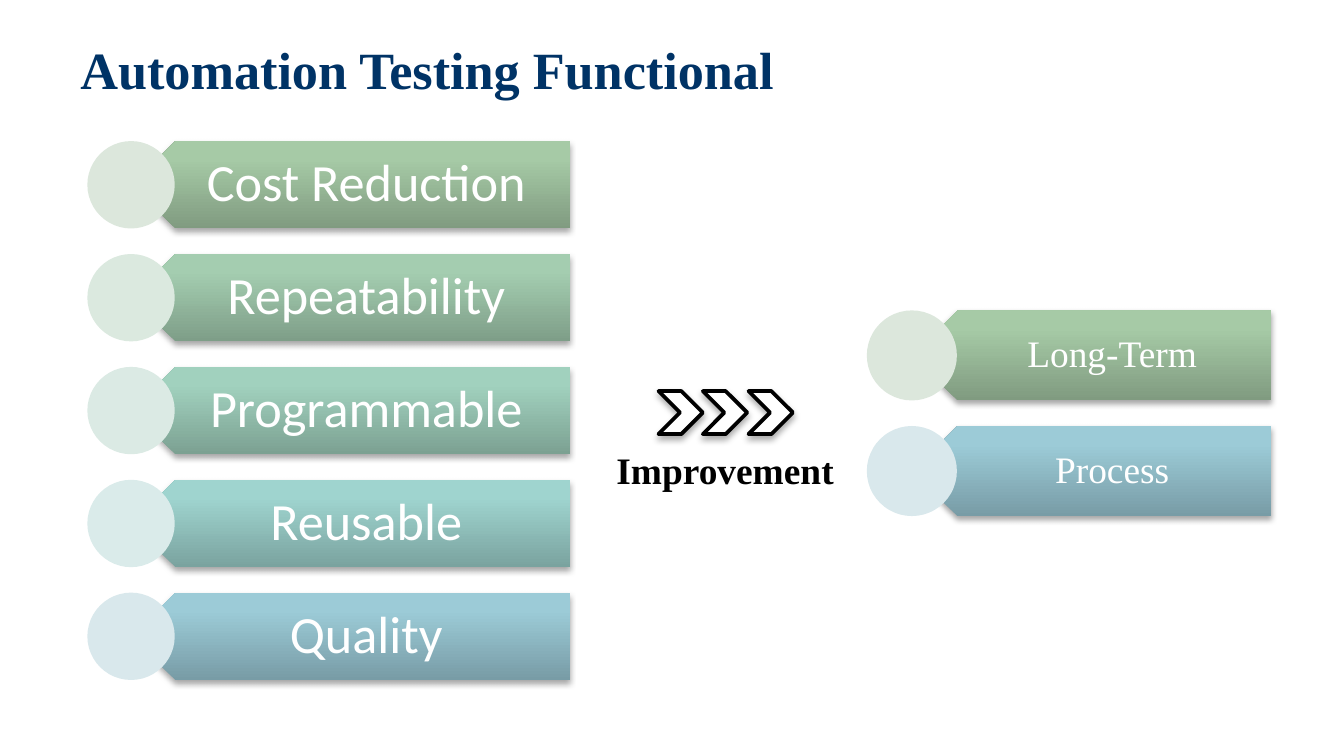
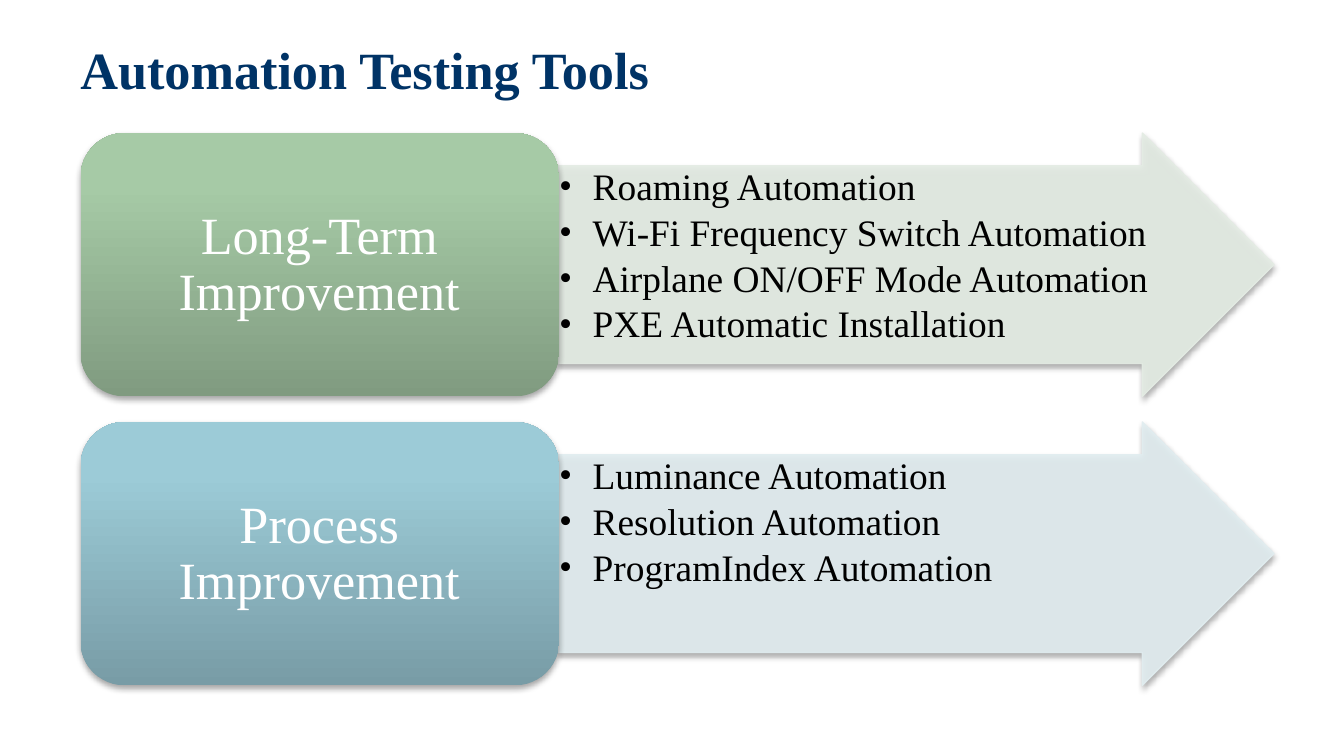
from lxml import etree
from pptx import Presentation
from pptx.dml.color import RGBColor
from pptx.enum.shapes import MSO_SHAPE as SHAPE
from pptx.enum.text import MSO_ANCHOR as ANCHOR, PP_ALIGN as ALIGN
from pptx.oxml import parse_xml
from pptx.oxml.ns import nsdecls, qn
from pptx.util import Pt

PX = 9144
SERIF = "Times New Roman"
COLORS = {
    "title": "003366", "white": "FFFFFF", "black": "000000",
    "green_arrow": "E4ECE4", "blue_arrow": "E1EDF0",
}
TONES = {
    "green": (("809B80", "A6CAA6", "A7CBA7"), "DCE7DC"),
    "mint": (("7E9E88", "A4CDB0", "A4CFB1"), "DBE9DF"),
    "jade": (("7CA192", "A1D1BE", "A1D2BF"), "DBEAE4"),
    "teal": (("7AA39F", "9FD4CF", "9ED6D1"), "DAEBEA"),
    "blue": (("789CA6", "9CCBD7", "9CCCD9"), "D9E8EC"),
}
SOFT_SHADOW = (35, 40000, 23000)
CHEVRON_SHADOW = (32, 44450, 27940)


def paint(slide, kind, box, fill, line=None, width=0.75, shadow=None, opacity=100):
    shape = slide.shapes.add_shape(kind, *(n * PX for n in box))
    props = shape.fill._xPr
    if isinstance(fill, tuple):
        shape.fill.background()
        stops = "".join(
            f'<a:gs pos="{pos}"><a:srgbClr val="{color}"/></a:gs>'
            for pos, color in zip((0, 80000, 100000), fill))
        props.replace(props.find(qn("a:noFill")), parse_xml(
            f'<a:gradFill {nsdecls("a")} rotWithShape="0"><a:gsLst>{stops}</a:gsLst>'
            '<a:lin ang="16200000" scaled="0"/></a:gradFill>'))
    else:
        shape.fill.solid()
        shape.fill.fore_color.rgb = RGBColor.from_string(fill)
    if line:
        shape.line.color.rgb = RGBColor.from_string(line)
        shape.line.width = Pt(width)
    else:
        shape.line.fill.background()
    if opacity < 100:
        for color in props.iter(qn("a:srgbClr")):
            etree.SubElement(color, qn("a:alpha"), val=str(opacity * 1000))
    shape.shadow.inherit = False
    if shadow:
        alpha, blur, distance = shadow
        props.find(qn("a:effectLst")).append(parse_xml(
            f'<a:outerShdw {nsdecls("a")} blurRad="{blur}" dist="{distance}" '
            'dir="5400000" rotWithShape="0"><a:srgbClr val="000000">'
            f'<a:alpha val="{alpha * 1000}"/></a:srgbClr></a:outerShdw>'))
    return shape


def write(slide, box, lines, size, color, font=SERIF, bold=False, align=ALIGN.CENTER,
          anchor=ANCHOR.MIDDLE, insets=(10, 5, 10, 5), spacing=0.9, bullets=False):
    frame = slide.shapes.add_textbox(*(n * PX for n in box)).text_frame
    frame.word_wrap = True
    frame.vertical_anchor = anchor
    (frame.margin_left, frame.margin_top,
     frame.margin_right, frame.margin_bottom) = (n * PX for n in insets)
    for index, line in enumerate(lines):
        paragraph = frame.add_paragraph() if index else frame.paragraphs[0]
        paragraph.alignment = align
        paragraph.line_spacing = spacing
        if bullets:
            paragraph.level = 1
            props = paragraph._p.get_or_add_pPr()
            props.set("marL", str(25 * PX))
            props.set("indent", str(-25 * PX))
            after = etree.SubElement(props, qn("a:spcAft"))
            etree.SubElement(after, qn("a:spcPct"), val="15000")
            etree.SubElement(props, qn("a:buFont"), typeface=font)
            etree.SubElement(props, qn("a:buChar"), char="•")
        run = paragraph.add_run()
        run.text = line
        run.font.name = font
        run.font.size = Pt(size)
        run.font.bold = bold
        run.font.color.rgb = RGBColor.from_string(color)


deck = Presentation()
deck.slide_width = 1000 * PX
deck.slide_height = deck.slide_width * 9 // 16
slides = []
for title in ("Automation Testing Functional", "Automation Testing Tools"):
    slide = deck.slides.add_slide(deck.slide_layouts[6])
    write(slide, (50, 10, 900, 82), [title], 28, COLORS["title"], bold=True,
          align=ALIGN.LEFT, spacing=1.0)
    slides.append(slide)
functional, tools = slides

benefits = [("Cost Reduction", "green"), ("Repeatability", "mint"),
            ("Programmable", "jade"), ("Reusable", "teal"), ("Quality", "blue")]
goals = [("Long-Term", "green"), ("Process", "blue")]
columns = [
    (benefits, 65, 105, 84, 65, 424, 28, "Calibri", (30, 12, 22, 12)),
    (goals, 645, 231, 86, 67, 946, 20, SERIF, (30, 8, 16, 8)),
]
for entries, left, top, pitch, height, right, size, font, insets in columns:
    plate_left = left + (height + 1) // 2
    label_left = left + height * 3 // 4
    for row, (label, tone) in enumerate(entries):
        gradient, pale = TONES[tone]
        y = top + row * pitch
        plate = paint(functional, SHAPE.PENTAGON, (plate_left, y, right - plate_left, height),
                      gradient, shadow=SOFT_SHADOW)
        plate.rotation = 180
        write(functional, (label_left, y, right - label_left, height), [label], size,
              COLORS["white"], font=font, insets=insets)
        paint(functional, SHAPE.OVAL, (left, y, height, height), pale)

for step in range(3):
    paint(functional, SHAPE.CHEVRON, (490 + step * 67 // 2, 291, 33, 32), COLORS["white"],
          line=COLORS["black"], width=2, shadow=CHEVRON_SHADOW)
write(functional, (412, 328, 255, 44), ["Improvement"], 20, COLORS["black"], bold=True,
      anchor=ANCHOR.TOP, spacing=1.0)

improvements = [
    ("Long-Term Improvement", "green",
     ["Roaming Automation", "Wi-Fi Frequency Switch Automation",
      "Airplane ON/OFF Mode Automation", "PXE Automatic Installation"]),
    ("Process Improvement", "blue",
     ["Luminance Automation", "Resolution Automation", "ProgramIndex Automation"]),
]
for row, (heading, tone, automations) in enumerate(improvements):
    y = 99 + row * 215
    pale = COLORS[f"{tone}_arrow"]
    arrow = paint(tools, SHAPE.RIGHT_ARROW, (415, y, 533, 196), pale, line=pale,
                  shadow=SOFT_SHADOW, opacity=90)
    arrow.adjustments[0], arrow.adjustments[1] = 0.75, 0.5
    write(tools, (415, y + 25, 460, 147), automations, 20, COLORS["black"],
          align=ALIGN.LEFT, anchor=ANCHOR.TOP, insets=(1, 1, 1, 1), bullets=True)
    paint(tools, SHAPE.ROUNDED_RECTANGLE, (60, y, 356, 196), TONES[tone][0],
          shadow=SOFT_SHADOW)
    write(tools, (69, y + 10, 337, 177), [heading], 28, COLORS["white"],
          insets=(12, 6, 12, 6))

deck.save("out.pptx")
